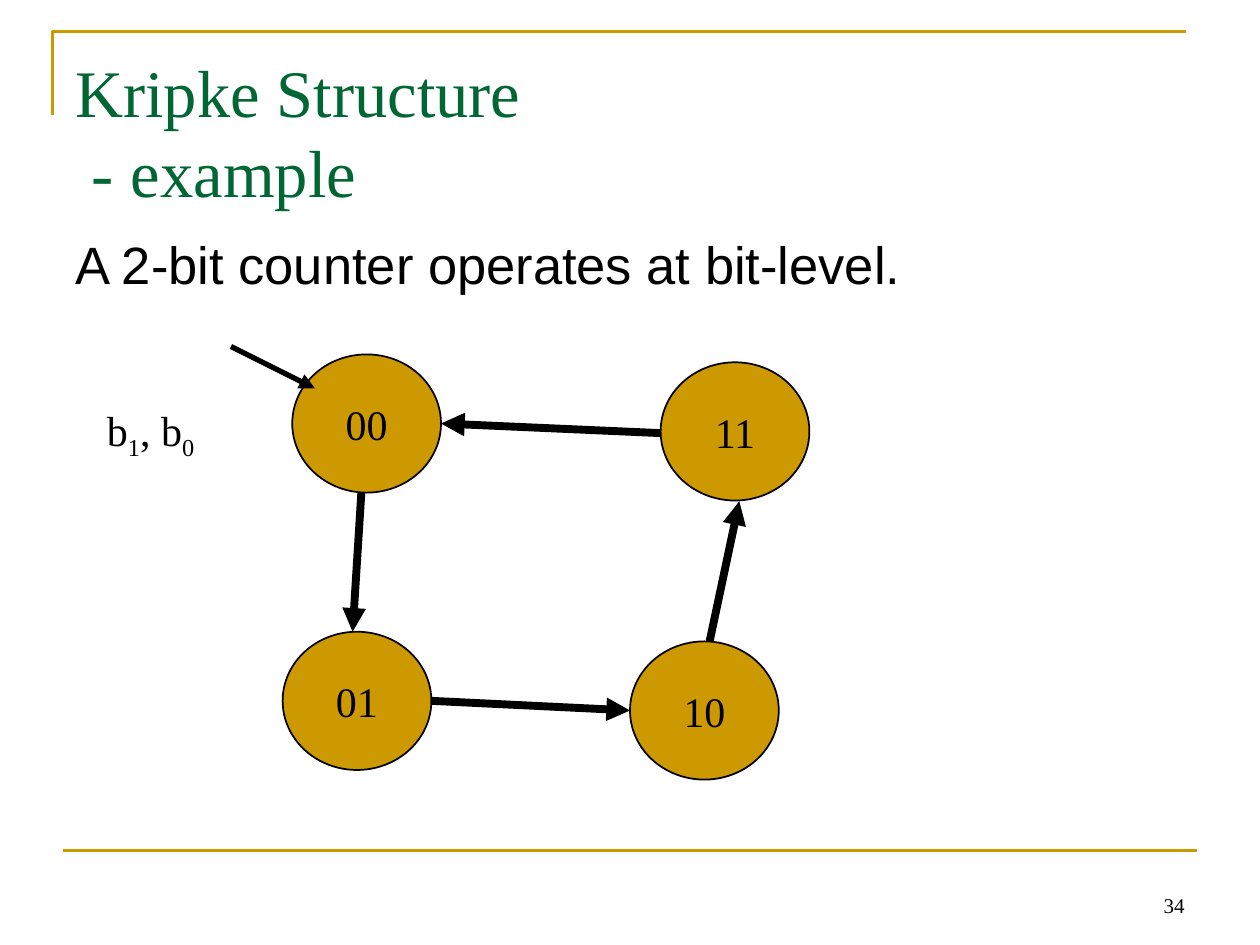
from lxml import etree
from pptx import Presentation
from pptx.dml.color import RGBColor
from pptx.enum import shapes, text
from pptx.oxml.ns import qn
from pptx.util import Pt

SERIF, SANS = "Times New Roman", "Arial"
THEME = {
    "gold": "CC9900", "green": "006633", "black": "000000",
    "title": 38, "body": 30, "label": 24, "number": 12,
    "rule": 1.5, "outline": 1, "entry": 3, "edge": 4.5,
}

TITLE = "Kripke Structure\v - example"
BODY = "A 2-bit counter operates at bit-level."
BIT_NAMES = [("b", False), ("1", True), (", b", False), ("0", True)]
PAGE = "34"

STATE_SIZE = (85, 79)
STATES = {"00": (167, 202.5), "11": (377.5, 207),
          "10": (360, 366.5), "01": (161.5, 361)}
# start x, y, end x, y, width
ARROWS = [
    (206.5, 281.5, 201.5, 361, "edge"),
    (246.5, 400.5, 360, 406, "edge"),
    (405.5, 366.5, 422.5, 286.5, "edge"),
    (377.5, 247.5, 252, 242, "edge"),
    (132, 198, 180, 222, "entry"),
]
CORNER = [(30, 66), (30, 18), (678, 18)]
FOOT_RULE = (36, 486, 684, 486)


def color(name):
    return RGBColor.from_string(THEME[name])


def set_line(sp, name, width):
    sp.line.color.rgb = color(name)
    sp.line.width = Pt(THEME[width])


def set_font(p, size, face=SERIF, name="black"):
    p.font.size, p.font.name = Pt(THEME[size]), face
    p.font.color.rgb = color(name)


def add_text(s, box, runs, size, face=SERIF, name="black", top=3.6,
             anchor=text.MSO_ANCHOR.TOP, align=text.PP_ALIGN.LEFT):
    """Add a text box; runs is a string or a list of (text, is_subscript)."""
    tf = s.shapes.add_textbox(*map(Pt, box)).text_frame
    tf.word_wrap, tf.vertical_anchor, tf.margin_top = True, anchor, Pt(top)
    p = tf.paragraphs[0]
    p.alignment = align
    if isinstance(runs, str):
        p.text = runs
    else:
        for words, is_subscript in runs:
            r = p.add_run()
            r.text = words
            if is_subscript:
                r.font._element.set("baseline", "-25000")
    set_font(p, size, face, name)


def add_line(s, x1, y1, x2, y2, name, width, arrow=False):
    ln = s.shapes.add_connector(shapes.MSO_CONNECTOR.STRAIGHT,
                                Pt(x1), Pt(y1), Pt(x2), Pt(y2))
    set_line(ln, name, width)
    if arrow:
        etree.SubElement(ln.line._get_or_add_ln(), qn("a:tailEnd"), type="triangle")
    etree.SubElement(ln._element.spPr, qn("a:effectLst"))


def add_corner(s):
    fb = s.shapes.build_freeform(*map(Pt, CORNER[0]), scale=1.0)
    fb.add_line_segments([(Pt(x), Pt(y)) for x, y in CORNER[1:]], close=False)
    sp = fb.convert_to_shape()
    sp.shadow.inherit = False
    sp.fill.background()
    set_line(sp, "gold", "rule")


def add_state(s, label, x, y):
    sp = s.shapes.add_shape(shapes.MSO_SHAPE.OVAL, Pt(x), Pt(y), *map(Pt, STATE_SIZE))
    sp.shadow.inherit = False
    sp.fill.solid()
    sp.fill.fore_color.rgb = color("gold")
    set_line(sp, "black", "outline")
    tf = sp.text_frame
    tf.word_wrap, tf.vertical_anchor = False, text.MSO_ANCHOR.MIDDLE
    p = tf.paragraphs[0]
    p.text, p.alignment = label, text.PP_ALIGN.CENTER
    set_font(p, "label")


def main():
    prs = Presentation()
    prs.slide_width, prs.slide_height = Pt(720), Pt(540)
    s = prs.slides.add_slide(prs.slide_layouts[6])

    add_corner(s)
    add_line(s, *FOOT_RULE, "gold", "rule")
    add_text(s, (516, 492, 168, 36), PAGE, "number",
             anchor=text.MSO_ANCHOR.BOTTOM, align=text.PP_ALIGN.RIGHT)
    add_text(s, (36, 21.5, 648, 90), TITLE, "title", name="green", top=7.5)
    add_text(s, (36, 126, 648, 356.5), BODY, "body", face=SANS, top=6.5)
    for label, (x, y) in STATES.items():
        add_state(s, label, x, y)
    add_text(s, (54, 224.5, 96.5, 36), BIT_NAMES, "label", top=6.5)
    for *ends, width in ARROWS:
        add_line(s, *ends, "black", width, arrow=True)

    prs.save("out.pptx")


if __name__ == "__main__":
    main()
